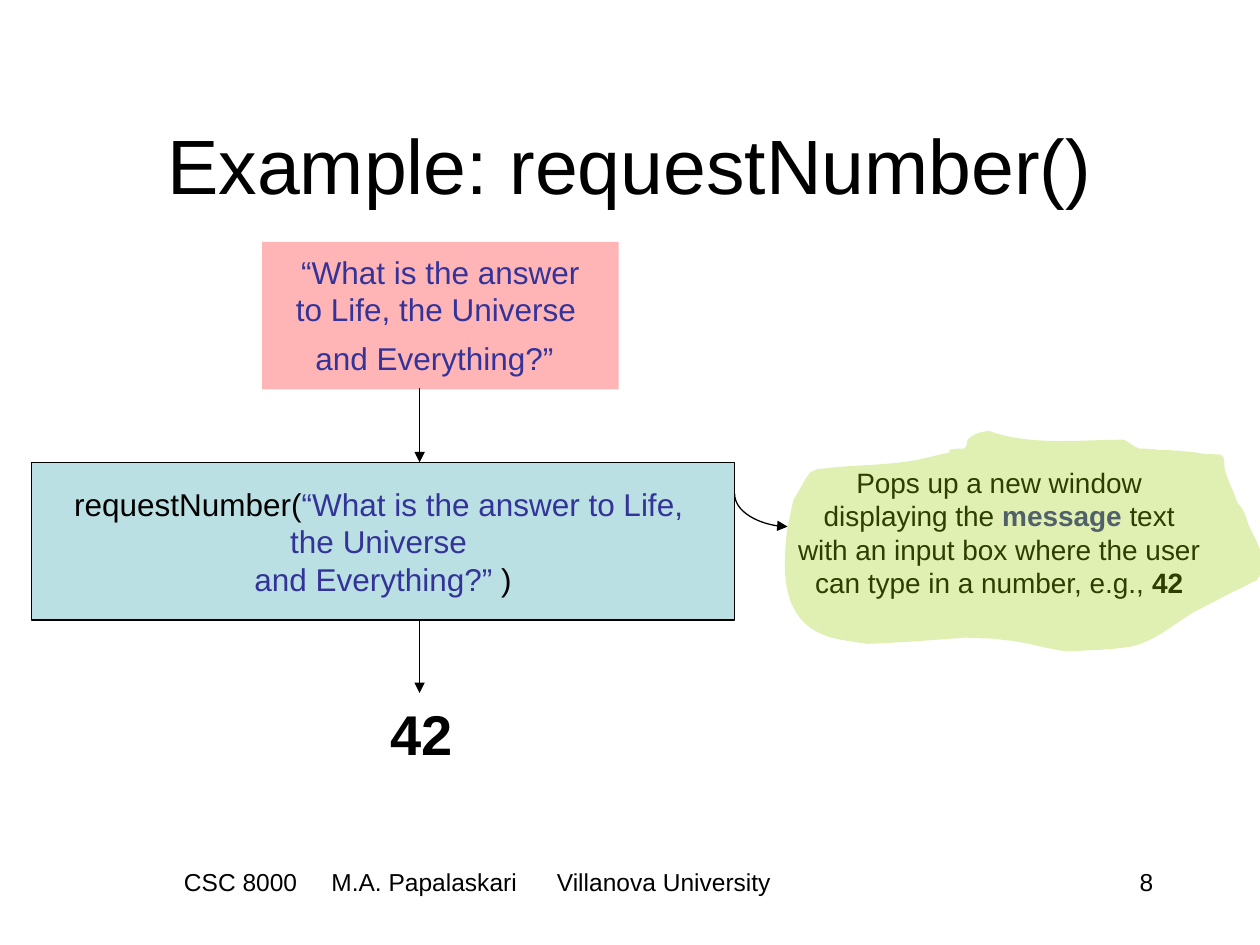
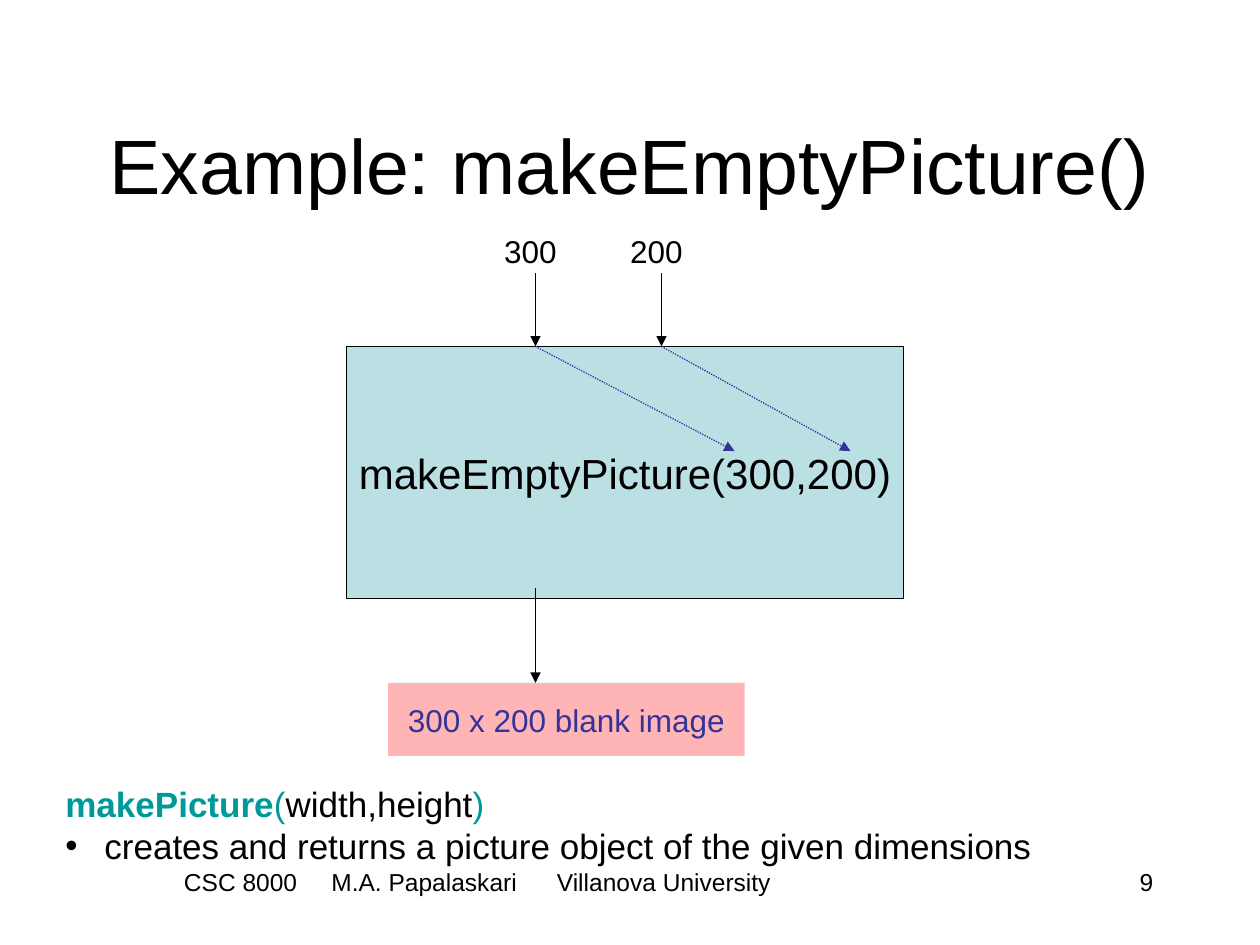
from lxml import etree
from pptx import Presentation
from pptx.dml.color import RGBColor
from pptx.enum.dml import MSO_LINE
from pptx.enum.shapes import MSO_CONNECTOR, MSO_SHAPE
from pptx.enum.text import MSO_ANCHOR, PP_ALIGN
from pptx.oxml.ns import qn
from pptx.util import Pt

PX = 9144  # 100 px to the inch
RECT = MSO_SHAPE.RECTANGLE
STRAIGHT, CURVE = MSO_CONNECTOR.STRAIGHT, MSO_CONNECTOR.CURVE
DOTTED = MSO_LINE.ROUND_DOT
TOP, MIDDLE = MSO_ANCHOR.TOP, MSO_ANCHOR.MIDDLE
LEFT, CENTER, RIGHT = PP_ALIGN.LEFT, PP_ALIGN.CENTER, PP_ALIGN.RIGHT

THEME = {
    "font": "Arial", "line": 0.75,
    "black": "000000", "blue": "333399", "teal": "009999",
    "function": "BBE0E3", "value": "FF0000", "cloud": "99CC00",
    "value_alpha": 29, "cloud_alpha": 30,
    "title": 44, "result": 32, "call": 24, "note": 20,
    "body": 18, "effect": 16, "footer": 14,
}

# Content: a paragraph is a list of runs (text, colour, bold[, size])
FOOTER = "CSC 8000\tM.A. Papalaskari\tVillanova University"
FOOTER_INSET, FOOTER_TABS = 71, (117, 296)
BULLET_INDENT = 31


def plain(text, color="black", bold=False):
    return [(text, color, bold)]


SLIDES = [
    {
        "title": "Example: requestNumber()",
        "number": 8,
        "function": ((25, 367, 558, 125), "body", [
            [("requestNumber(", "black", False),
             ("“What is the answer to Life, ", "blue", False)],
            plain("the Universe ", "blue"),
            [("and Everything?”", "blue", False), (" )", "black", False)],
        ]),
        "value": ((208, 192, 283, 117), "body", [
            plain("“What is the answer", "blue"),
            plain("to Life, the Universe ", "blue"),
            [("and Everything?”", "blue", False), (" ", "black", False, "call")],
        ]),
        "labels": [
            ((733, 392, 120, 61), "effect", CENTER, MIDDLE, [
                plain("Pops up a new window"),
                [("displaying the ", "black", False), ("message", "blue", True),
                 (" text", "black", False)],
                plain("with an input box where the user"),
                [("can type in a number, e.g., ", "black", False), ("42", "black", True)],
            ]),
            ((300, 550, 69, 64), "result", LEFT, TOP, [plain("42", bold=True)]),
        ],
        "arrows": [(333, 308, 333, 367), (333, 492, 333, 550)],
        "effect_arrow": (617, 384, 591, 426),
        # Start point, then Bézier segments: two control points and an end point
        "cloud": ((754, 359), [
            (745, 361, 737, 363, 728, 365), (706, 369, 683, 369, 661, 371),
            (646, 373, 651, 371, 643, 375), (638, 381, 635, 389, 630, 396),
            (628, 403, 627, 411, 625, 418), (621, 452, 617, 500, 669, 508),
            (676, 509, 681, 510, 688, 511), (716, 510, 739, 508, 767, 506),
            (777, 507, 787, 506, 797, 508), (813, 509, 830, 515, 847, 517),
            (862, 516, 877, 516, 892, 514), (914, 512, 931, 495, 949, 485),
            (959, 480, 968, 475, 978, 470), (982, 468, 987, 466, 992, 463),
            (993, 462, 997, 461, 997, 461), (1008, 447, 998, 431, 991, 417),
            (989, 410, 987, 404, 982, 399), (979, 389, 974, 381, 972, 372),
            (971, 368, 973, 363, 969, 361), (965, 360, 959, 361, 955, 360),
            (952, 360, 950, 359, 948, 359), (938, 358, 928, 357, 919, 357),
            (914, 356, 904, 356, 904, 356), (899, 354, 896, 351, 892, 349),
            (856, 349, 818, 354, 785, 342), (777, 343, 773, 344, 768, 349),
            (767, 351, 768, 355, 765, 356), (762, 356, 750, 356, 754, 359),
        ]),
    },
    {
        "title": "Example: makeEmptyPicture()",
        "number": 9,
        "function": ((275, 275, 442, 200), "call", [plain("makeEmptyPicture(300,200)")]),
        "value": ((308, 542, 283, 58), "body", [plain("300 x 200 blank image", "blue")]),
        "labels": [
            ((400, 183, 42, 33), "body", CENTER, MIDDLE, [plain("300")]),
            ((500, 183, 42, 33), "body", CENTER, MIDDLE, [plain("200")]),
        ],
        "arrows": [(425, 217, 425, 275), (525, 217, 525, 275), (425, 467, 425, 542)],
        "argument_arrows": [(425, 275, 583, 358), (525, 275, 675, 358)],
        "note": ((42, 616, 908, 77), [
            [("makePicture", "teal", True), ("(", "teal", False),
             ("width,height", "black", False), (")", "teal", False)],
            plain("creates and returns a picture object of the given dimensions"),
        ]),
    },
]


def emu(lengths):
    return [length * PX for length in lengths]


def rgb(name):
    return RGBColor.from_string(THEME[name])


def write(shape, paragraphs, size, align=CENTER, anchor=MIDDLE, wrap=False):
    frame = shape.text_frame
    frame.word_wrap = wrap
    frame.vertical_anchor = anchor
    for index, runs in enumerate(paragraphs):
        paragraph = frame.paragraphs[0] if index == 0 else frame.add_paragraph()
        paragraph.alignment = align
        for text, color, bold, *own_size in runs:
            run = paragraph.add_run()
            run.text = text
            run.font.name = THEME["font"]
            run.font.size = Pt(THEME[own_size[0] if own_size else size])
            run.font.bold = bold
            run.font.color.rgb = rgb(color)
    return frame


def add_text(slide, area, paragraphs, size, align=CENTER, anchor=TOP):
    return write(slide.shapes.add_textbox(*emu(area)), paragraphs, size, align, anchor, True)


def add_label(slide, area, size, align, anchor, paragraphs):
    """Text that runs past its small frame instead of wrapping."""
    label = slide.shapes.add_shape(RECT, *emu(area))
    label.shadow.inherit = False
    label.fill.background()
    label.line.fill.background()
    write(label, paragraphs, size, align, anchor)


def paint(shape, color, alpha=None, outlined=False):
    shape.shadow.inherit = False
    shape.fill.solid()
    shape.fill.fore_color.rgb = rgb(color)
    if alpha:
        srgb = shape._element.spPr.find(qn("a:solidFill")).find(qn("a:srgbClr"))
        etree.SubElement(srgb, qn("a:alpha"), val=str(alpha * 1000))
    if outlined:
        shape.line.color.rgb = rgb("black")
        shape.line.width = Pt(THEME["line"])
    else:
        shape.line.fill.background()


def add_box(slide, box, color, alpha=None, outlined=False):
    area, size, paragraphs = box
    shape = slide.shapes.add_shape(RECT, *emu(area))
    paint(shape, color, alpha, outlined)
    write(shape, paragraphs, size)


def add_arrow(slide, ends, kind=STRAIGHT, color="black", dash=None):
    arrow = slide.shapes.add_connector(kind, *emu(ends))
    arrow.line.color.rgb = rgb(color)
    arrow.line.width = Pt(THEME["line"])
    if dash:
        arrow.line.dash_style = dash
    properties = arrow._element.spPr
    etree.SubElement(properties.find(qn("a:ln")), qn("a:tailEnd"), type="triangle")
    etree.SubElement(properties, qn("a:effectLst"))
    return arrow


def add_effect_arrow(slide, ends):
    """A quarter bend that leaves downwards and arrives rightwards."""
    properties = add_arrow(slide, ends, CURVE)._element.spPr
    properties.find(qn("a:xfrm")).set("rot", str(270 * 60000))
    properties.find(qn("a:prstGeom")).set("prst", "curvedConnector2")


def add_cloud(slide, start, segments):
    points = [emu(segment[i:i + 2]) for segment in segments for i in (0, 2, 4)]
    builder = slide.shapes.build_freeform(*emu(start))
    builder.add_line_segments(points, close=True)
    cloud = builder.convert_to_shape()
    paint(cloud, "cloud", THEME["cloud_alpha"])

    # Join every three straight steps into one Bézier curve
    steps = list(cloud._element.iter(qn("a:lnTo")))
    for first, second, end in zip(steps[::3], steps[1::3], steps[2::3]):
        curve = etree.Element(qn("a:cubicBezTo"))
        first.addprevious(curve)
        for step in (first, second, end):
            curve.append(step[0])
            step.getparent().remove(step)


def add_note(slide, area, paragraphs):
    frame = add_text(slide, area, paragraphs, "note", LEFT)
    bulleted = frame.paragraphs[1]._p.get_or_add_pPr()
    indent = BULLET_INDENT * PX
    bulleted.set("marL", str(indent))
    bulleted.set("indent", str(-indent))
    color = etree.SubElement(bulleted, qn("a:buClr"))
    etree.SubElement(color, qn("a:srgbClr"), val=THEME["black"])
    etree.SubElement(bulleted, qn("a:buFont"), typeface=THEME["font"])
    etree.SubElement(bulleted, qn("a:buChar"), char="•")


def add_footer(slide, number):
    add_text(slide, (717, 683, 208, 50), [plain(str(number))], "footer", RIGHT)
    frame = add_text(slide, (75, 683, 608, 50), [plain(FOOTER)], "footer", LEFT)
    frame.margin_left = FOOTER_INSET * PX
    tabs = etree.SubElement(frame.paragraphs[0]._p.get_or_add_pPr(), qn("a:tabLst"))
    for position in FOOTER_TABS:
        etree.SubElement(tabs, qn("a:tab"), pos=str(position * PX), algn="l")


def build_slide(deck, content):
    slide = deck.slides.add_slide(deck.slide_layouts[6])
    add_text(slide, (75, 67, 850, 125), [plain(content["title"])], "title", anchor=MIDDLE)

    # Function box, its value and the labels around them
    add_box(slide, content["function"], "function", outlined=True)
    add_box(slide, content["value"], "value", THEME["value_alpha"])
    for label in content["labels"]:
        add_label(slide, *label)

    # Flow of values
    for ends in content["arrows"]:
        add_arrow(slide, ends)
    for ends in content.get("argument_arrows", []):
        add_arrow(slide, ends, color="blue", dash=DOTTED)

    # Side effect and explanation
    if "cloud" in content:
        add_effect_arrow(slide, content["effect_arrow"])
        add_cloud(slide, *content["cloud"])
    if "note" in content:
        add_note(slide, *content["note"])
    add_footer(slide, content["number"])


def main():
    deck = Presentation()
    deck.slide_width, deck.slide_height = emu((1000, 750))
    for content in SLIDES:
        build_slide(deck, content)
    deck.save("out.pptx")


if __name__ == "__main__":
    main()
